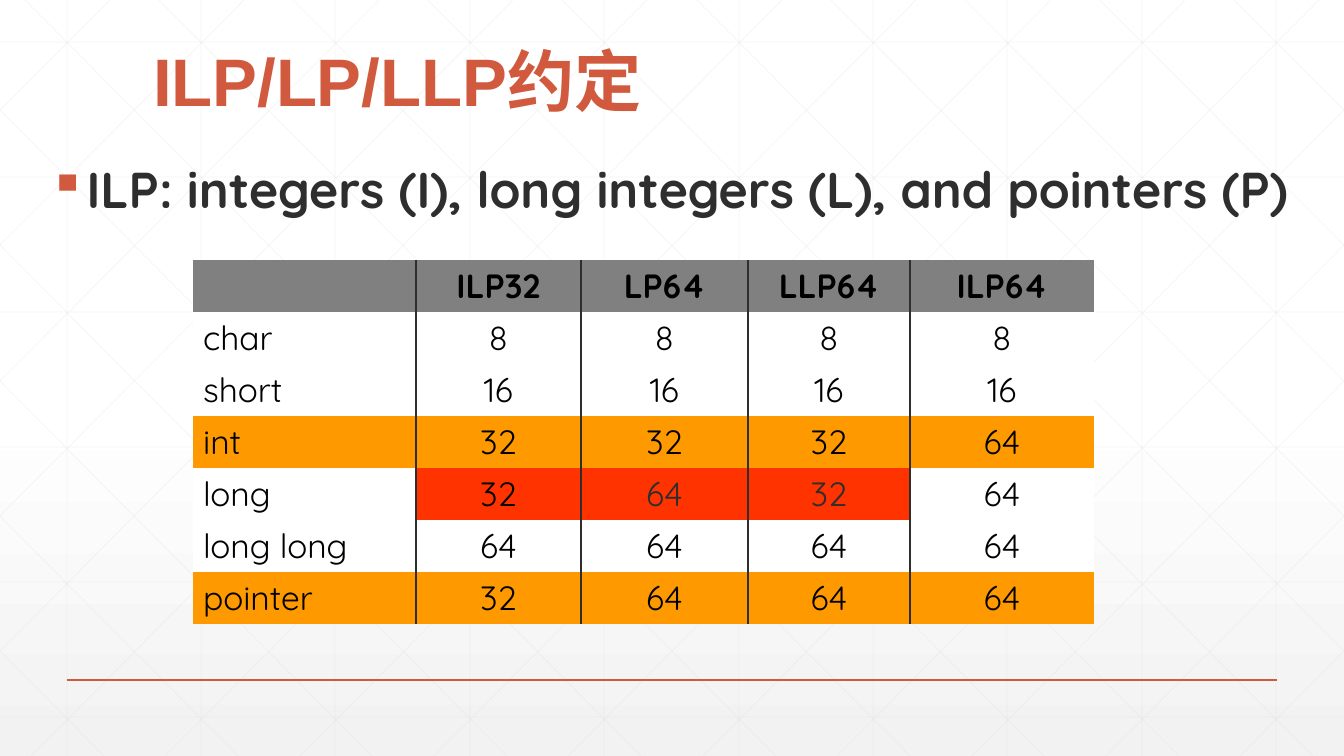
from pptx import Presentation
from pptx import util as u
from pptx.dml.color import RGBColor
from pptx.enum import shapes, text
from pptx.oxml import parse_xml
from pptx.oxml.ns import nsdecls, qn
from lxml import etree

PX = 914400 / 100.8
W, H = 1344, 756
RUST, DARK, BLACK, WHITE = "D15A3E", "2D2E2D", "000000", "FFFFFF"
ORANGE, RED, GREY = "FF9900", "FF3300", "808080"
rgb = RGBColor.from_string


def px(n):
    return u.Emu(round(n * PX))


def rule(x1, y1, x2, y2, hue, pt):
    line = slide.shapes.add_connector(
        shapes.MSO_CONNECTOR.STRAIGHT, px(x1), px(y1), px(x2), px(y2))
    line.line.color.rgb = rgb(hue)
    line.line.width = u.Pt(pt)
    etree.SubElement(line._element.spPr, qn("a:effectLst"))
    return line


prs = Presentation()
prs.slide_width, prs.slide_height = px(W), px(H)
slide = prs.slides.add_slide(prs.slide_layouts[5])

# Background gradient, white turning to pale grey
fill = slide.background.fill
fill.gradient()
fill.gradient_angle = 270
for stop, pos, hue in zip(fill.gradient_stops, (0.53, 1), (WHITE, "F2F2F2")):
    stop.position = pos
    stop.color.rgb = rgb(hue)

# Faint grid: verticals, horizontals and mirrored diagonals
grid = [(x, 0, x, H) for x in (67 + 1344 * k // 10 for k in range(10))]
grid += [(0, y, W, y) for y in range(42, H, 135)]
RUN = 751
for k in range(-5, 10):
    x = 25 + 1344 * k // 10
    left, right = max(x, 0), min(x + RUN, W)
    top, low = ((end - x) * H // RUN for end in (left, right))
    grid += [(left, top, right, low), (W - left, top, W - right, low)]
for ends in grid:
    line = rule(*ends, "D9D9D9", 0.5)
    tint = line._element.spPr.find(".//" + qn("a:srgbClr"))
    etree.SubElement(tint, qn("a:alpha"), val="25000")

# Footer rule
rule(67, 680, 1277, 680, RUST, 1)

# Title, raised above the grid
title = slide.shapes.title
slide.shapes._spTree.append(title._element)
title.left, title.top, title.width, title.height = map(px, (143, 0, 1058, 126))
frame = title.text_frame
frame.auto_size = text.MSO_AUTO_SIZE.NONE
frame.vertical_anchor = text.MSO_ANCHOR.BOTTOM
para = frame.paragraphs[0]
para.alignment = text.PP_ALIGN.LEFT
para.line_spacing = 0.9
run = para.add_run()
run.text = "ILP/LP/LLP约定"
run.font.size, run.font.name, run.font.bold = u.Pt(48), "Arial", True
run.font.color.rgb = rgb(RUST)

# Bullet line
body = slide.shapes.add_textbox(px(39), px(153), px(1269), px(80))
body.text_frame.word_wrap = True
para = body.text_frame.paragraphs[0]
para.alignment = text.PP_ALIGN.JUSTIFY
props = para._p.get_or_add_pPr()
props.set("marL", str(px(25)))
props.set("indent", str(px(-25)))
tint = etree.SubElement(props, qn("a:buClr"))
etree.SubElement(tint, qn("a:srgbClr"), val=RUST)
etree.SubElement(props, qn("a:buChar"), char="▪")
run = para.add_run()
run.text = "ILP: integers (I), long integers (L), and pointers (P)"
run.font.size, run.font.name, run.font.bold = u.Pt(36), "Quicksand", True
run.font.color.rgb = rgb(DARK)

# Table of type widths in bits
rows = [
    (GREY, "", "ILP32", "LP64", "LLP64", "ILP64"),
    (WHITE, "char", "8", "8", "8", "8"),
    (WHITE, "short", "16", "16", "16", "16"),
    (ORANGE, "int", "32", "32", "32", "64"),
    (WHITE, "long", "32", "64", "32", "64"),
    (WHITE, "long long", "64", "64", "64", "64"),
    (ORANGE, "pointer", "32", "64", "64", "64"),
]
cols = (223, 165, 167, 162, 184)
table = slide.shapes.add_table(len(rows), len(cols), px(193), px(260),
                               px(sum(cols)), px(52 * len(rows))).table
table.first_row = table.horz_banding = False
for col, wide in zip(table.columns, cols):
    col.width = px(wide)
for r, (shade, *words) in enumerate(rows):
    table.rows[r].height = px(52)
    for c, word in enumerate(words):
        cell = table.cell(r, c)
        hot = words[0] == "long" and 1 <= c <= 3

        # Inner vertical borders only
        inner = {"L": c > 0, "R": c < len(cols) - 1, "T": False, "B": False}
        for side, shown in inner.items():
            paint = (f'<a:solidFill><a:srgbClr val="{DARK}"/></a:solidFill>'
                     if shown else "<a:noFill/>")
            cell._tc.get_or_add_tcPr().append(parse_xml(
                f'<a:ln{side} {nsdecls("a")} w="12700">{paint}</a:ln{side}>'))
        cell.fill.solid()
        cell.fill.fore_color.rgb = rgb(RED if hot else shade)

        para = cell.text_frame.paragraphs[0]
        para.alignment = text.PP_ALIGN.CENTER if c else text.PP_ALIGN.LEFT
        if word:
            run = para.add_run()
            run.text = word
            run.font.size, run.font.name = u.Pt(24), "Quicksand"
            run.font.bold = r == 0
            run.font.color.rgb = rgb(DARK if hot and c > 1 else BLACK)

prs.save("out.pptx")
